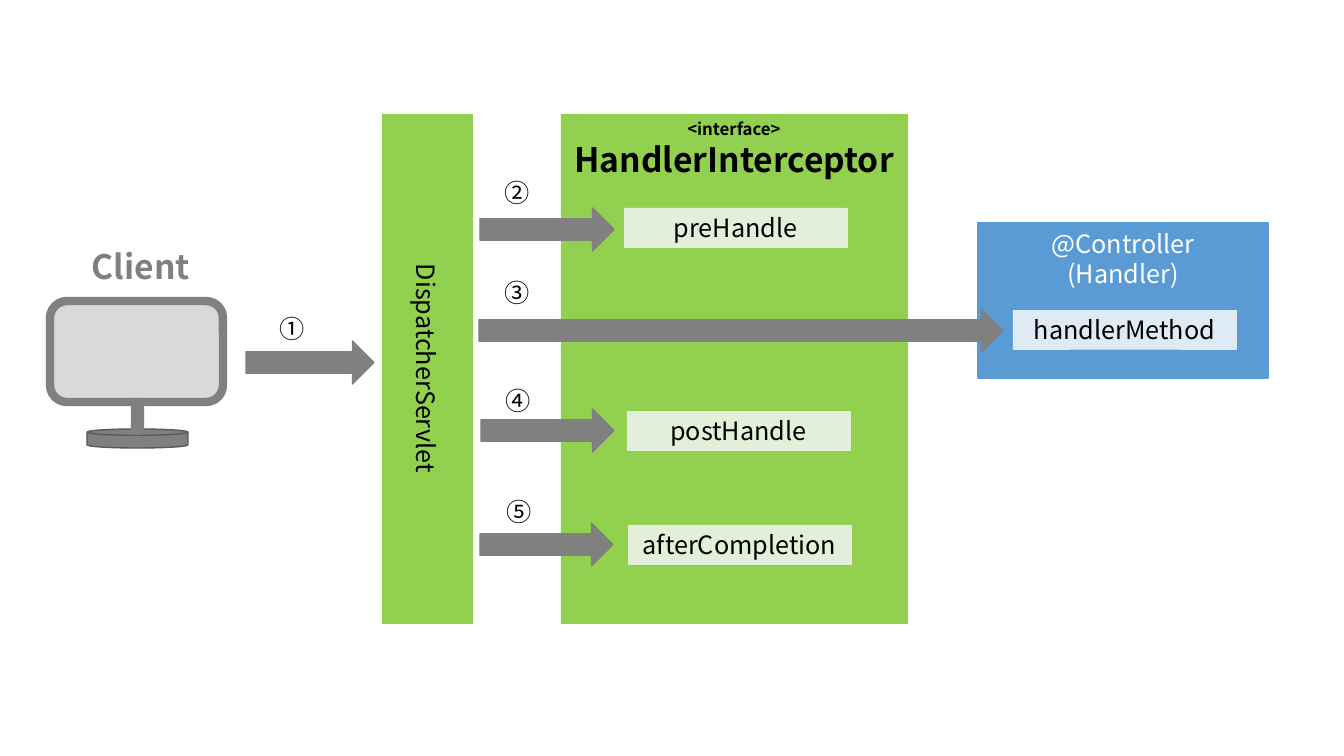
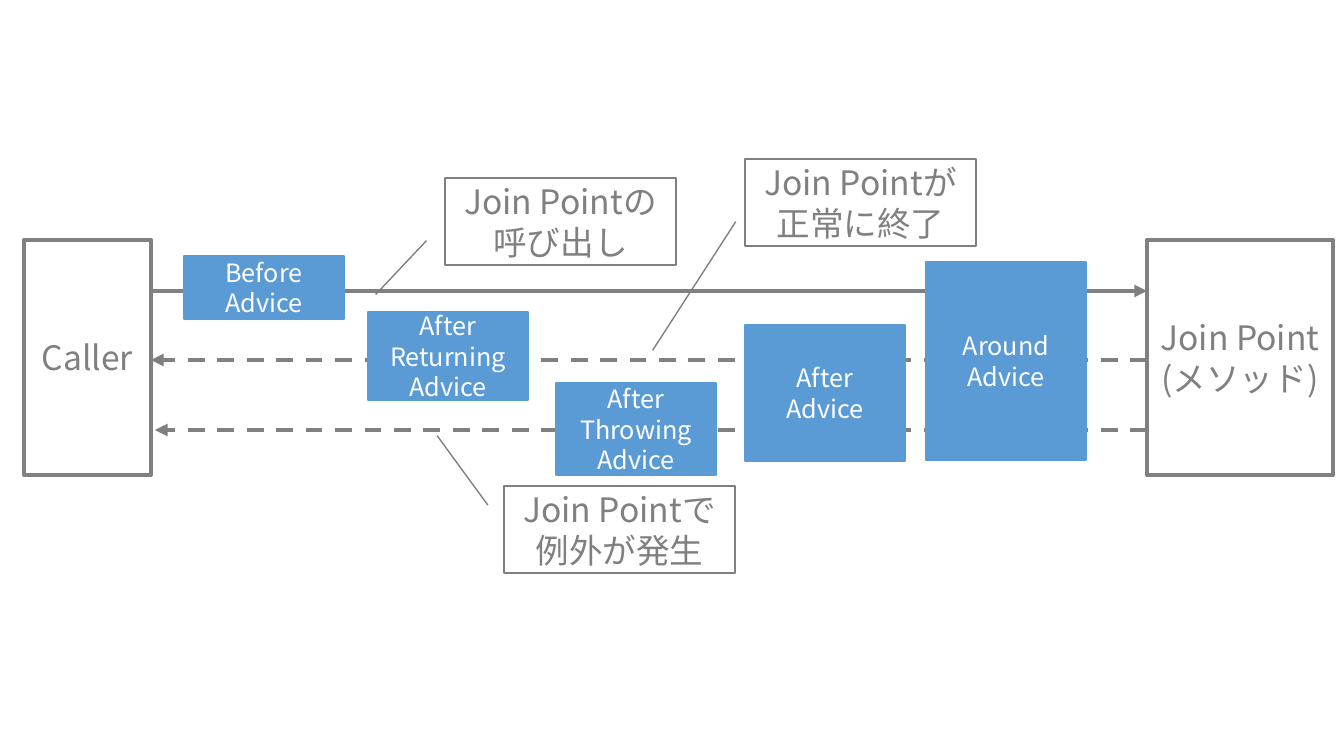
from pptx import Presentation, util as u
from pptx.dml.color import RGBColor
from pptx.enum import dml, shapes, text
from pptx.oxml import parse_xml
from pptx.oxml.ns import nsdecls, qn

FONT = "Noto Sans CJK JP"
BLACK = RGBColor(0x00, 0x00, 0x00)
WHITE = RGBColor(0xFF, 0xFF, 0xFF)
GRAY = RGBColor(0x80, 0x80, 0x80)
DARK_GRAY = RGBColor(0x59, 0x59, 0x59)
SCREEN = RGBColor(0xD9, 0xD9, 0xD9)
GREEN = RGBColor(0x92, 0xD0, 0x50)
PALE_GREEN = RGBColor(0xE2, 0xF0, 0xD9)
BLUE = RGBColor(0x5B, 0x9B, 0xD5)
PALE_BLUE = RGBColor(0xDE, 0xEB, 0xF7)

KIND = shapes.MSO_SHAPE
TOP, MIDDLE = text.MSO_ANCHOR.TOP, text.MSO_ANCHOR.MIDDLE


def px(*lengths):
    return [u.Emu(round(n * 914400 / 100.8)) for n in lengths]


class Diagram:
    def __init__(self):
        self.deck = Presentation()
        self.deck.slide_width, self.deck.slide_height = px(1344, 756)
        self.slide = None

    def new_slide(self):
        self.slide = self.deck.slides.add_slide(self.deck.slide_layouts[6])

    def set_text(self, frame, words, sizes, color, bold=False, align=None):
        """Fill a frame; sizes holds one size per paragraph, or one for all."""
        frame.text = words
        for i, paragraph in enumerate(frame.paragraphs):
            paragraph.alignment = align
            font = paragraph.font
            font.name, font.bold = FONT, bold
            font.size = u.Pt(sizes[min(i, len(sizes) - 1)])
            font.color.rgb = color
            # Japanese glyphs take the East Asian typeface
            paragraph._p.pPr.find(qn("a:defRPr")).append(
                parse_xml(f'<a:ea {nsdecls("a")} typeface="{FONT}"/>'))

    def shape(self, kind, at, fill, line=None, width=1):
        shape = self.slide.shapes.add_shape(kind, *px(*at))
        shape.shadow.inherit = False
        if fill is None:
            shape.fill.background()
        else:
            shape.fill.solid()
            shape.fill.fore_color.rgb = fill
        shape.line.color.rgb = line or fill
        shape.line.width = u.Pt(width)
        return shape

    def box(self, words, at, fill, color=BLACK, line=None, width=1, sizes=(18,),
            bold=False, anchor=MIDDLE, kind=KIND.RECTANGLE):
        box = self.shape(kind, at, fill, line, width)
        box.text_frame.word_wrap = True
        box.text_frame.vertical_anchor = anchor
        self.set_text(box.text_frame, words, sizes, color, bold, text.PP_ALIGN.CENTER)
        return box

    def label(self, words, at, size=18, color=BLACK, bold=False):
        frame = self.slide.shapes.add_textbox(*px(*at)).text_frame
        frame.word_wrap = False
        frame.auto_size = text.MSO_AUTO_SIZE.SHAPE_TO_FIT_TEXT
        self.set_text(frame, words, (size,), color, bold)

    def step(self, number, number_at, arrow_at, length):
        self.label(number, (*number_at, 45, 40))
        self.shape(KIND.RIGHT_ARROW, (*arrow_at, length, 43), GRAY)

    def flow(self, start_x, end_x, y, dashed=False):
        flow = self.slide.shapes.add_connector(
            shapes.MSO_CONNECTOR.STRAIGHT, *px(start_x, y, end_x, y))
        flow.line.color.rgb = GRAY
        flow.line.width = u.Pt(3)
        if dashed:
            flow.line.dash_style = dml.MSO_LINE.DASH
        properties = flow._element.spPr
        properties.find(qn("a:ln")).append(
            parse_xml(f'<a:tailEnd {nsdecls("a")} type="triangle"/>'))
        properties.append(parse_xml(f'<a:effectLst {nsdecls("a")}/>'))

    def callout(self, words, left, top, pointer):
        callout = self.box(words, (left, top, 231, 87), None, GRAY, GRAY,
                           sizes=(24,), kind=KIND.LINE_CALLOUT_1)
        for i, value in enumerate(pointer):
            callout.adjustments[i] = value


diagram = Diagram()

# Slide 1: order of the interceptor calls
diagram.new_slide()
dispatcher = diagram.box("DispatcherServlet", (382, 114, 90, 509), GREEN, width=0.5)
dispatcher.text_frame._txBody.bodyPr.set("vert", "vert")

# Client computer: screen, foot, stand
diagram.shape(KIND.ROUNDED_RECTANGLE, (50, 301, 173, 101), SCREEN, GRAY, 6)
diagram.shape(KIND.FLOWCHART_MAGNETIC_DISK, (87, 429, 101, 19), GRAY, DARK_GRAY)
diagram.shape(KIND.ROUNDED_RECTANGLE, (135, 402, 5, 29), SCREEN, GRAY, 6)
diagram.label("Client", (82, 241, 118, 50), 24, GRAY, True)

# Controller and interceptor with their methods
diagram.box("@Controller\n(Handler)", (978, 223, 290, 155), BLUE, WHITE, anchor=TOP)
diagram.box("<interface>\nHandlerInterceptor", (561, 114, 346, 509), GREEN,
            width=0.5, sizes=(12, 24), bold=True, anchor=TOP)
for method, left, top, fill in (
        ("preHandle", 624, 208, PALE_GREEN),
        ("postHandle", 627, 411, PALE_GREEN),
        ("afterCompletion", 628, 525, PALE_GREEN),
        ("handlerMethod", 1013, 310, PALE_BLUE)):
    diagram.box(method, (left, top, 223, 39), fill, width=0.5)

# Numbered calls
for number, number_at, arrow_at, length in (
        ("①", (270, 308), (246, 341), 128),
        ("②", (495, 172), (480, 208), 134),
        ("③", (495, 272), (479, 309), 524),
        ("④", (496, 380), (481, 409), 133),
        ("⑤", (497, 491), (480, 523), 133)):
    diagram.step(number, number_at, arrow_at, length)

# Slide 2: advice around a join point
diagram.new_slide()
for party, left, width in (("Caller", 24, 127), ("Join Point\n(メソッド)", 1147, 186)):
    diagram.box(party, (left, 240, width, 235), WHITE, GRAY, GRAY, 3, (24,))

# Call, normal return and exception
diagram.flow(151, 1147, 291)
diagram.flow(1147, 151, 360, dashed=True)
diagram.flow(1147, 155, 430, dashed=True)

# Advice kinds
for advice, left, top, height in (
        ("Before\nAdvice", 184, 256, 63),
        ("After\nReturning\nAdvice", 368, 312, 88),
        ("After\nThrowing\nAdvice", 556, 383, 92),
        ("After\nAdvice", 745, 325, 136),
        ("Around\nAdvice", 926, 262, 198)):
    diagram.box(advice, (left, top, 160, height), BLUE, WHITE)

# Explanations of the three flows
diagram.callout("Join Pointの\n呼び出し", 445, 178, (0.72, -0.08, 1.34, -0.3))
diagram.callout("Join Pointで例外が発生", 504, 486, (0.22, -0.07, -0.58, -0.29))
diagram.callout("Join Pointが正常に終了", 745, 159, (0.72, -0.04, 2.2, -0.4))

diagram.deck.save("out.pptx")
